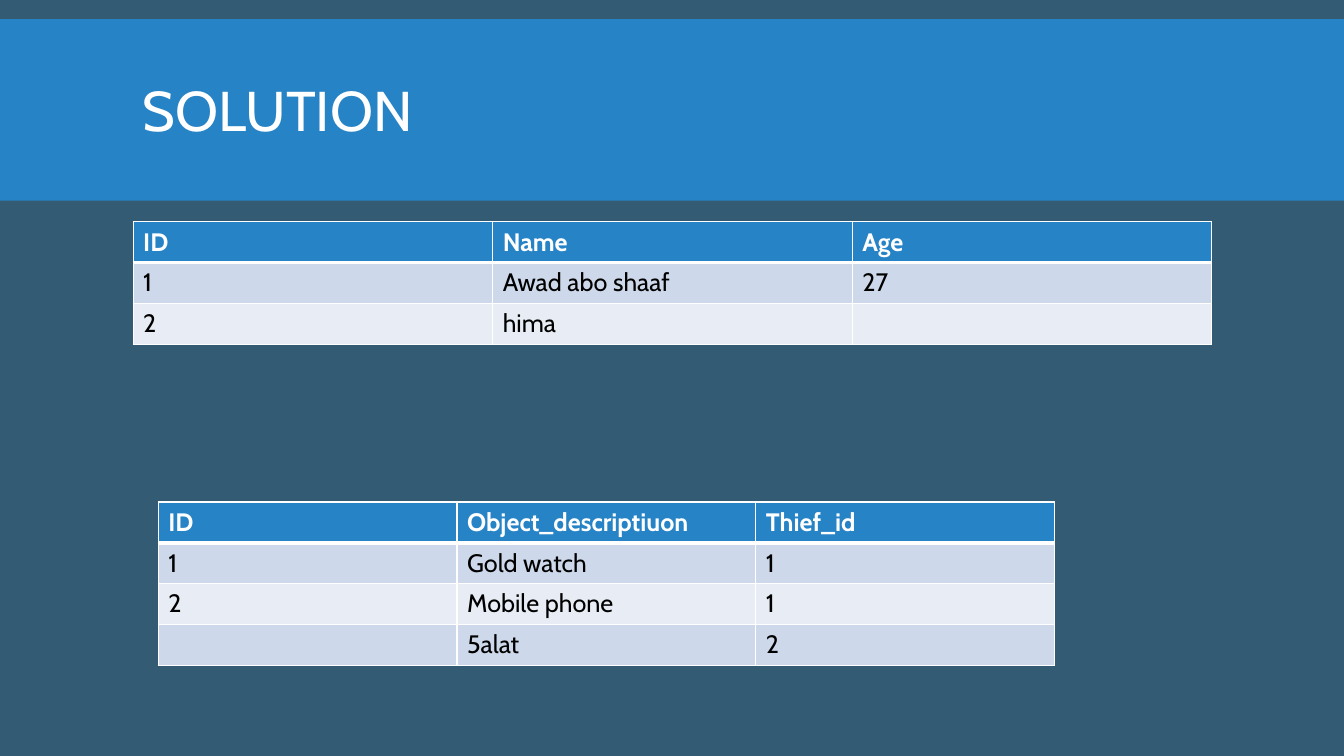
"""Build the SOLUTION slide with its thief and stolen-object tables."""
from lxml import etree
from pptx import Presentation
from pptx.dml.color import RGBColor
from pptx.enum.shapes import MSO_SHAPE
from pptx.enum.text import MSO_ANCHOR
from pptx.oxml.ns import qn
from pptx.util import Inches, Pt

RECTANGLE = MSO_SHAPE.RECTANGLE
MIDDLE = MSO_ANCHOR.MIDDLE

TITLE = "SOLUTION"
THIEVES = [
    ("ID", "Name", "Age"),
    ("1", "Awad abo shaaf", "27"),
    ("2", "hima", ""),
]
OBJECTS = [
    ("ID", "Object_descriptiuon", "Thief_id"),
    ("1", "Gold watch", "1"),
    ("2", "Mobile phone", "1"),
    ("", "5alat", "2"),
]
TABLES = [(THIEVES, 1.32, 2.2, 10.7), (OBJECTS, 1.57, 4.98, 8.89)]

FONT = "Cabin"
SLATE, BLUE, WHITE, BLACK = "335B74", "2683C6", "FFFFFF", "000000"
BANDS = ["E8EDF5", "CDD9EA"]
WIDTH, HEIGHT = 13.33, 7.5
ROW_HEIGHT = 0.405


def paint(fill, color):
    fill.solid()
    fill.fore_color.rgb = RGBColor.from_string(color)


def style(paragraph, size, color, bold=False):
    font = paragraph.font
    font.name, font.size, font.bold = FONT, Pt(size), bold
    paint(font.fill, color)


def add_border(cell, side, points):
    line = etree.SubElement(cell._tc.get_or_add_tcPr(), qn(f"a:ln{side}"), w=str(Pt(points)))
    solid = etree.SubElement(line, qn("a:solidFill"))
    etree.SubElement(solid, qn("a:srgbClr"), val=WHITE)


def add_records(slide, records, left, top, width):
    columns = len(records[0])
    table = slide.shapes.add_table(
        len(records), columns, Inches(left), Inches(top),
        Inches(width), Inches(ROW_HEIGHT * len(records))).table
    for column in table.columns:
        column.width = Inches(width / columns)
    for r, record in enumerate(records):
        table.rows[r].height = Inches(ROW_HEIGHT)
        header = r == 0
        for c, value in enumerate(record):
            cell = table.cell(r, c)
            borders = {"L": 1, "R": 1, "T": 3 if r == 1 else 1, "B": 3 if header else 1}
            for side, points in borders.items():
                add_border(cell, side, points)
            paint(cell.fill, BLUE if header else BANDS[r % 2])
            cell.text = value
            style(cell.text_frame.paragraphs[0], 18, WHITE if header else BLACK, header)


def main():
    deck = Presentation()
    deck.slide_width, deck.slide_height = Inches(WIDTH), Inches(HEIGHT)
    slide = deck.slides.add_slide(deck.slide_layouts[6])
    paint(slide.background.fill, SLATE)

    band = slide.shapes.add_shape(RECTANGLE, 0, Inches(0.19), deck.slide_width, Inches(1.8))
    band.shadow.inherit = False
    paint(band.fill, BLUE)
    band.line.fill.background()

    heading = slide.shapes.add_textbox(Inches(1.32), Inches(0.31), Inches(10.7), Inches(1.65))
    frame = heading.text_frame
    frame.word_wrap = True
    frame.vertical_anchor = MIDDLE
    frame.text = TITLE
    frame.paragraphs[0].line_spacing = 0.85
    style(frame.paragraphs[0], 40, WHITE)

    for records, left, top, width in TABLES:
        add_records(slide, records, left, top, width)
    deck.save("out.pptx")


if __name__ == "__main__":
    main()
